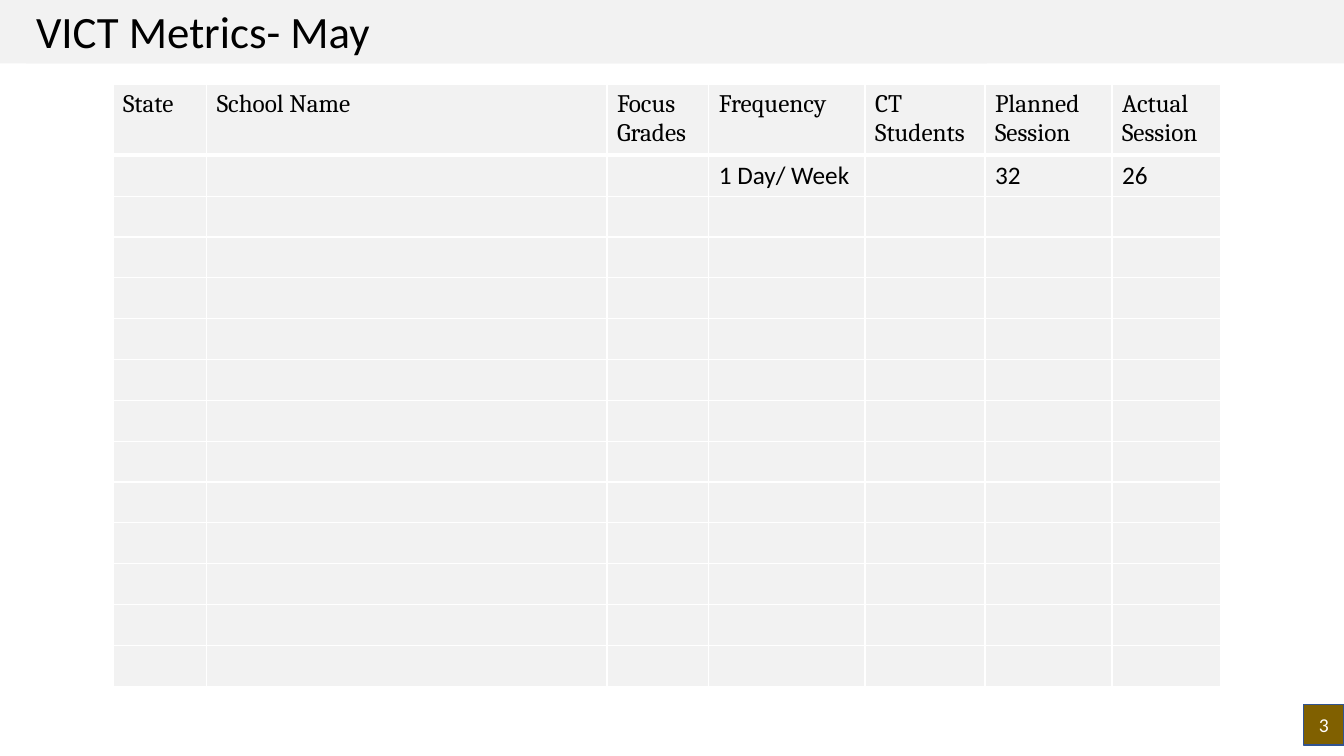
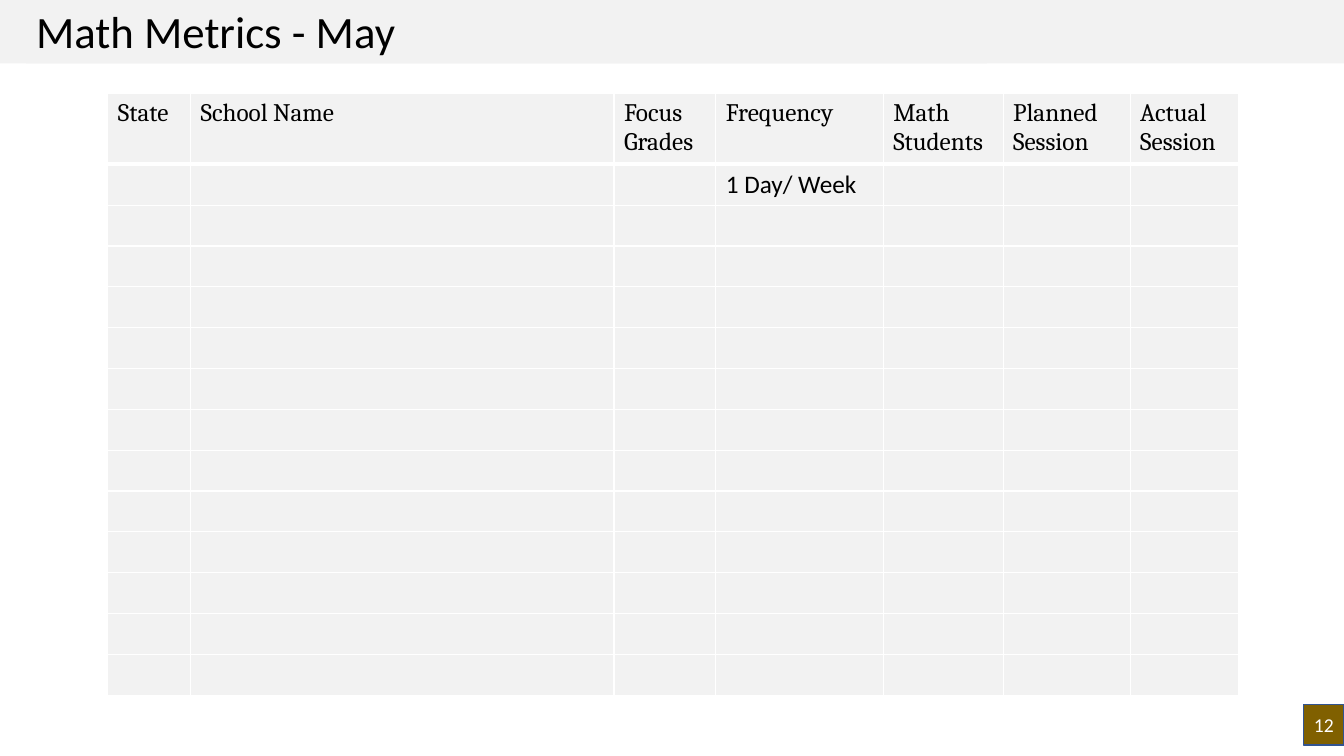
import pptx
import pptx.dml.color
import pptx.enum.shapes
import pptx.enum.text
import pptx.oxml.ns
import pptx.util
import lxml.etree

Inches = pptx.util.Inches
Pt = pptx.util.Pt
RGBColor = pptx.dml.color.RGBColor
RECTANGLE = pptx.enum.shapes.MSO_SHAPE.RECTANGLE

PALE_GREY = RGBColor(0xF2, 0xF2, 0xF2)
BLACK = RGBColor(0x00, 0x00, 0x00)
WHITE = RGBColor(0xFF, 0xFF, 0xFF)
BROWN = RGBColor(0x80, 0x60, 0x00)
BLUE = RGBColor(0x32, 0x54, 0x91)

TABLE_HEIGHT = 5.97
HEADER_HEIGHT = 0.7
BODY_ROWS = 13

SLIDES = [
    {
        "title": "VICT Metrics- May",
        "number": "3",
        "subject": "CT",
        "corner": (1.12, 0.84),
        "widths": [0.93, 3.97, 1.01, 1.55, 1.19, 1.26, 1.08],
        "first_row": ["", "", "", "1 Day/ Week", "", "32", "26"],
    },
    {
        "title": "Math Metrics - May",
        "number": "12",
        "subject": "Math",
        "corner": (1.07, 0.93),
        "widths": [0.82, 4.2, 1.01, 1.66, 1.19, 1.26, 1.08],
        "first_row": ["", "", "", "1 Day/ Week", "", "", ""],
    },
]


def write(frame, text, font_name, size, color):
    para = frame.paragraphs[0]
    para.text = text
    para.font.name = font_name
    para.font.size = Pt(size)
    para.font.color.rgb = color
    para.font.bold = False
    return para


def style_cell(cell, top, bottom):
    properties = cell._tc.get_or_add_tcPr()
    for side, width in (("L", 1), ("R", 1), ("T", top), ("B", bottom)):
        line = lxml.etree.SubElement(properties, pptx.oxml.ns.qn("a:ln" + side), w=str(Pt(width)))
        fill = lxml.etree.SubElement(line, pptx.oxml.ns.qn("a:solidFill"))
        lxml.etree.SubElement(fill, pptx.oxml.ns.qn("a:srgbClr"), val=str(WHITE))
    cell.fill.solid()
    cell.fill.fore_color.rgb = PALE_GREY


deck = pptx.Presentation()
deck.slide_width = Inches(13.33)
deck.slide_height = Inches(7.5)

for content in SLIDES:
    page = deck.slides.add_slide(deck.slide_layouts[6])

    band = page.shapes.add_shape(RECTANGLE, Inches(-0.18), Inches(-0.01), Inches(13.7), Inches(0.64))
    band.shadow.inherit = False
    band.fill.solid()
    band.fill.fore_color.rgb = PALE_GREY
    band.line.fill.background()

    title = page.shapes.add_textbox(Inches(0.26), Inches(-0.01), Inches(9.53), Inches(0.64))
    title.fill.solid()
    title.fill.fore_color.rgb = PALE_GREY
    title.text_frame.word_wrap = True
    write(title.text_frame, content["title"], "Calibri", 32, BLACK)

    headers = ["State", "School Name", "Focus Grades", "Frequency",
               content["subject"] + " Students", "Planned Session", "Actual Session"]
    rows = [headers, content["first_row"]] + [[""] * len(headers)] * (BODY_ROWS - 1)
    left, top = content["corner"]
    table = page.shapes.add_table(len(rows), len(headers), Inches(left), Inches(top),
                                  Inches(sum(content["widths"])), Inches(TABLE_HEIGHT)).table
    table.horz_banding = False
    for column, width in zip(table.columns, content["widths"]):
        column.width = Inches(width)
    for index, texts in enumerate(rows):
        is_header = index == 0
        table.rows[index].height = Inches(
            HEADER_HEIGHT if is_header else (TABLE_HEIGHT - HEADER_HEIGHT) / BODY_ROWS)
        for cell, text in zip(table.rows[index].cells, texts):
            style_cell(cell, 3 if index == 1 else 1, 3 if is_header else 1)
            write(cell.text_frame, text, "Cambria" if is_header else "Calibri", 18, BLACK)

    badge = page.shapes.add_shape(RECTANGLE, Inches(12.93), Inches(6.99), Inches(0.4), Inches(0.4))
    badge.shadow.inherit = False
    badge.fill.solid()
    badge.fill.fore_color.rgb = BROWN
    badge.line.color.rgb = BLUE
    badge.line.width = Pt(1)
    badge.text_frame.vertical_anchor = pptx.enum.text.MSO_ANCHOR.MIDDLE
    badge.text_frame.word_wrap = False
    number = write(badge.text_frame, content["number"], "Calibri", 14, WHITE)
    number.alignment = pptx.enum.text.PP_ALIGN.CENTER

deck.save("out.pptx")
